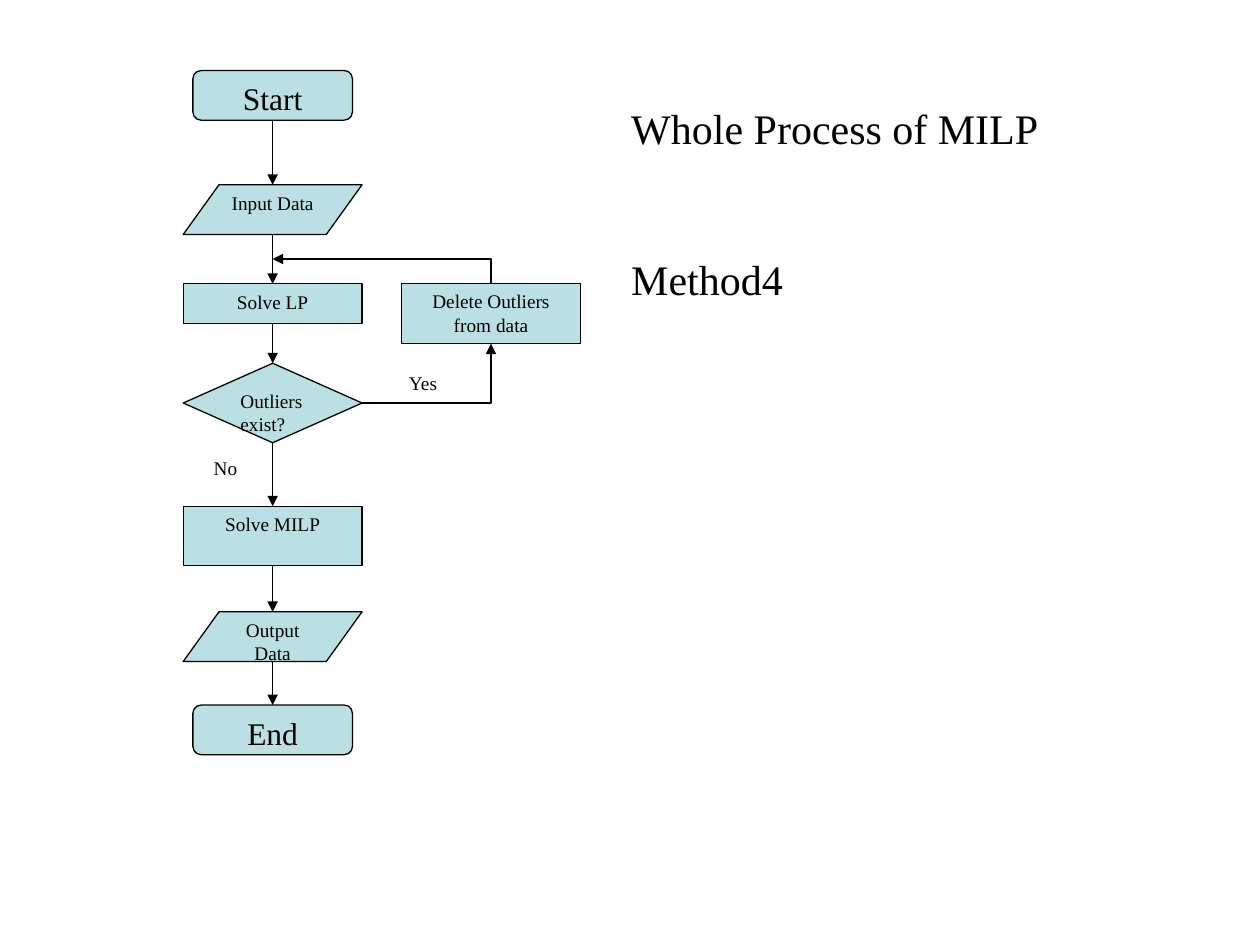
"""Build a flowchart slide of the whole MILP process."""
import pptx
import pptx.util
import pptx.dml.color
import pptx.enum.shapes
import pptx.enum.text
import pptx.oxml
import pptx.oxml.ns

Pt = pptx.util.Pt
Kind = pptx.enum.shapes.MSO_SHAPE
Align = pptx.enum.text.PP_ALIGN
COLORS = {"fill": "BBE0E3", "ink": "000000"}


def color(name):
    """Return the named colour."""
    return pptx.dml.color.RGBColor.from_string(COLORS[name])


def write(frame, text, size=11, align=Align.LEFT, gap=0):
    """Write lines of text into a frame, gap points apart."""
    frame.word_wrap = True
    frame.vertical_anchor = pptx.enum.text.MSO_ANCHOR.TOP
    frame.text = text
    for index, paragraph in enumerate(frame.paragraphs):
        paragraph.alignment = align
        paragraph.line_spacing = Pt(1.2 * size)
        paragraph.space_before = Pt(gap if index else 0)
        for run in paragraph.runs:
            run.font.size = Pt(size)
            run.font.name = "Times New Roman"
            run.font.color.rgb = color("ink")


class Flowchart:
    """Hold the slide and the style of its elements."""

    line_width = 0.75

    def __init__(self, slide):
        """Keep the slide to draw on."""
        self.slide = slide

    def title(self, text, left, top, width, height, **style):
        """Place and format the title."""
        shape = self.slide.shapes.title
        shape.left, shape.top, shape.width, shape.height = map(Pt, (left, top, width, height))
        shape.text_frame.auto_size = pptx.enum.text.MSO_AUTO_SIZE.NONE
        write(shape.text_frame, text, **style)

    def step(self, kind, text, center, top, width, height, **style):
        """Add a filled step centred on a column."""
        shape = self.slide.shapes.add_shape(
            kind, Pt(center - width / 2), Pt(top), Pt(width), Pt(height))
        shape.shadow.inherit = False
        shape.fill.solid()
        shape.fill.fore_color.rgb = color("fill")
        shape.line.color.rgb = color("ink")
        shape.line.width = Pt(self.line_width)
        write(shape.text_frame, text, **style)

    def label(self, text, left, top):
        """Add a branch label."""
        shape = self.slide.shapes.add_textbox(Pt(left), Pt(top), Pt(34), Pt(21))
        write(shape.text_frame, text)

    def arrow(self, begin, end, bent=False, tip="tailEnd"):
        """Add a straight arrow or one with a single bend."""
        connector = self.slide.shapes.add_connector(
            pptx.enum.shapes.MSO_CONNECTOR.STRAIGHT, *map(Pt, begin + end))
        connector.line.color.rgb = color("ink")
        connector.line.width = Pt(self.line_width)
        properties = connector._element.spPr
        if bent:
            properties.find(pptx.oxml.ns.qn("a:prstGeom")).set("prst", "bentConnector2")
        head = pptx.oxml.parse_xml(f'<a:{tip} {pptx.oxml.ns.nsdecls("a")} type="triangle"/>')
        properties.find(pptx.oxml.ns.qn("a:ln")).append(head)
        properties.append(pptx.oxml.parse_xml(f'<a:effectLst {pptx.oxml.ns.nsdecls("a")}/>'))


presentation = pptx.Presentation()
presentation.slide_width, presentation.slide_height = Pt(720), Pt(540)
chart = Flowchart(presentation.slides.add_slide(presentation.slide_layouts[5]))
chart.title("Whole Process of MILP\nMethod4", 353.5, 55, 296, 124, size=24, gap=57.6)

main, side = 155.8, 280.6
wide, narrow = 102.2, 91.2
steps = [
    (Kind.ROUNDED_RECTANGLE, "Start", 40.3, narrow, 28.4, 18, Align.CENTER),
    (Kind.FLOWCHART_DATA, "Input Data", 105.6, wide, 28.4, 11, Align.CENTER),
    (Kind.FLOWCHART_PROCESS, "Solve LP", 162.2, wide, 22.6, 11, Align.CENTER),
    (Kind.FLOWCHART_DECISION, "Outliers exist?", 207.6, wide, 45.4, 11, Align.LEFT),
    (Kind.FLOWCHART_PROCESS, "Solve MILP", 289.3, wide, 34, 11, Align.CENTER),
    (Kind.FLOWCHART_DATA, "Output Data", 349.6, wide, 28.4, 11, Align.CENTER),
    (Kind.ROUNDED_RECTANGLE, "End", 402.9, narrow, 28.4, 18, Align.CENTER),
]
for kind, text, top, width, height, size, align in steps:
    chart.step(kind, text, main, top, width, height, size=size, align=align)
for upper, lower in zip(steps, steps[1:]):
    chart.arrow((main, upper[2] + upper[4]), (main, lower[2]))

side_top, side_height = 162, 34.4
chart.step(Kind.FLOWCHART_PROCESS, "Delete Outliers from data",
           side, side_top, wide, side_height, align=Align.CENTER)
chart.arrow((main + wide / 2, 230.3), (side, side_top + side_height), bent=True)
chart.arrow((main, 148), (side, side_top), bent=True, tip="headEnd")
chart.label("Yes", 226.6, 208.8)
chart.label("No", 115, 257)

presentation.save("out.pptx")
